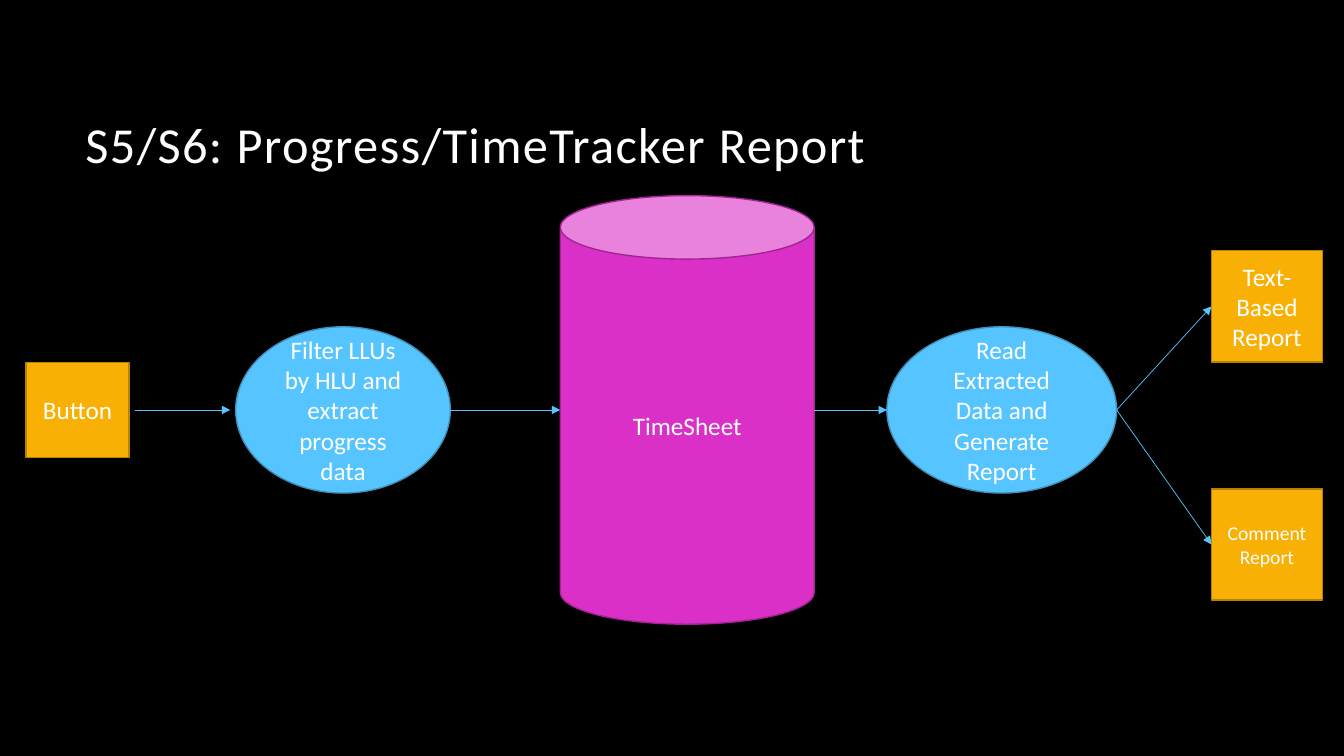
"""Draw the report flow from button to reports as one slide."""
from pptx import Presentation
from pptx import util as u
from pptx.dml.color import RGBColor
from pptx.enum import shapes, text
from pptx.oxml.ns import qn
from lxml import etree

TITLE = "S5/S6: Progress/TimeTracker Report"
AXIS = 10.33
NODES = {
    "button": ("Button", "box", 0.66, AXIS, 2.59, 2.39),
    "filter": ("Filter LLUs by HLU and extract progress data", "step", 5.94, AXIS, 5.41, 4.19),
    "sheet": ("TimeSheet", "store", 14.12, AXIS, 6.4, 10.8),
    "read": ("Read Extracted Data and Generate Report", "step", 22.35, AXIS, 5.79, 4.19),
    "text": ("Text-Based Report", "box", 30.53, 7.72, 2.8, 2.8),
    "note": ("Comment Report", "box", 30.53, 13.72, 2.8, 2.8),
}
LINKS = [("button", "filter", 0.14), ("filter", "sheet", 0), ("sheet", "read", 0),
         ("read", "text", 0), ("read", "note", 0)]
THEME = {
    "font": "Calibri", "back": "000000", "ink": "FFFFFF", "link": "56C5FF",
    "title": 36, "body": 18, "small": 14, "edge": 1, "thin": 0.5,
    "box": ("F8B004", "B78203"), "step": ("56C5FF", "4092BD"), "store": ("DB30C7", "A22493"),
}
FORMS = {
    "box": shapes.MSO_SHAPE.RECTANGLE,
    "step": shapes.MSO_SHAPE.OVAL,
    "store": shapes.MSO_SHAPE.CAN,
}


def rgb(key):
    """Turn a hex string into a colour."""
    return RGBColor.from_string(key)


def write(shape, words, size=THEME["body"], align=text.PP_ALIGN.CENTER,
          anchor=text.MSO_ANCHOR.MIDDLE, lead=None, space=None):
    """Put formatted words into a shape."""
    frame = shape.text_frame
    frame.word_wrap = True
    frame.auto_size = text.MSO_AUTO_SIZE.NONE
    frame.vertical_anchor = anchor
    para = frame.paragraphs[0]
    para.alignment = align
    para.line_spacing = lead
    run = para.add_run()
    run.text = words
    run.font.name = THEME["font"]
    run.font.size = u.Pt(size)
    run.font.color.rgb = rgb(THEME["ink"])
    if space:
        run.font._element.set("spc", str(space * 100))


def draw(slide, words, kind, left, mid, wide, high, size):
    """Add one node centred on its mid height."""
    node = slide.shapes.add_shape(FORMS[kind], u.Cm(left), u.Cm(mid - high / 2),
                                  u.Cm(wide), u.Cm(high))
    fill, edge = THEME[kind]
    node.shadow.inherit = False
    node.fill.solid()
    node.fill.fore_color.rgb = rgb(fill)
    node.line.color.rgb = rgb(edge)
    node.line.width = u.Pt(THEME["edge"])
    write(node, words, size=size)


def link(slide, start, end, gap):
    """Add an arrow from the right of one node to the left of the next."""
    _, _, left, mid, wide, _ = NODES[start]
    _, _, goal, level, _, _ = NODES[end]
    line = slide.shapes.add_connector(
        shapes.MSO_CONNECTOR.STRAIGHT, u.Cm(left + wide + gap), u.Cm(mid),
        u.Cm(goal - gap), u.Cm(level))
    line.line.color.rgb = rgb(THEME["link"])
    line.line.width = u.Pt(THEME["thin"])
    props = line._element.spPr
    etree.SubElement(props.find(qn("a:ln")), qn("a:tailEnd"), type="triangle")
    etree.SubElement(props, qn("a:effectLst"))


def main():
    """Build and save the slide."""
    deck = Presentation()
    deck.slide_width, deck.slide_height = u.Cm(33.87), u.Cm(19.05)
    slide = deck.slides.add_slide(deck.slide_layouts[5])
    slide.background.fill.solid()
    slide.background.fill.fore_color.rgb = rgb(THEME["back"])
    head = slide.shapes.title
    head.left, head.top, head.width, head.height = map(u.Cm, (1.9, 0.71, 25.4, 3.81))
    write(head, TITLE, size=THEME["title"], align=text.PP_ALIGN.LEFT,
          anchor=text.MSO_ANCHOR.BOTTOM, lead=0.9, space=1)
    for name, node in NODES.items():
        draw(slide, *node, size=THEME["small" if name == "note" else "body"])
    for start, end, gap in LINKS:
        link(slide, start, end, gap)
    deck.save("out.pptx")


if __name__ == "__main__":
    main()
